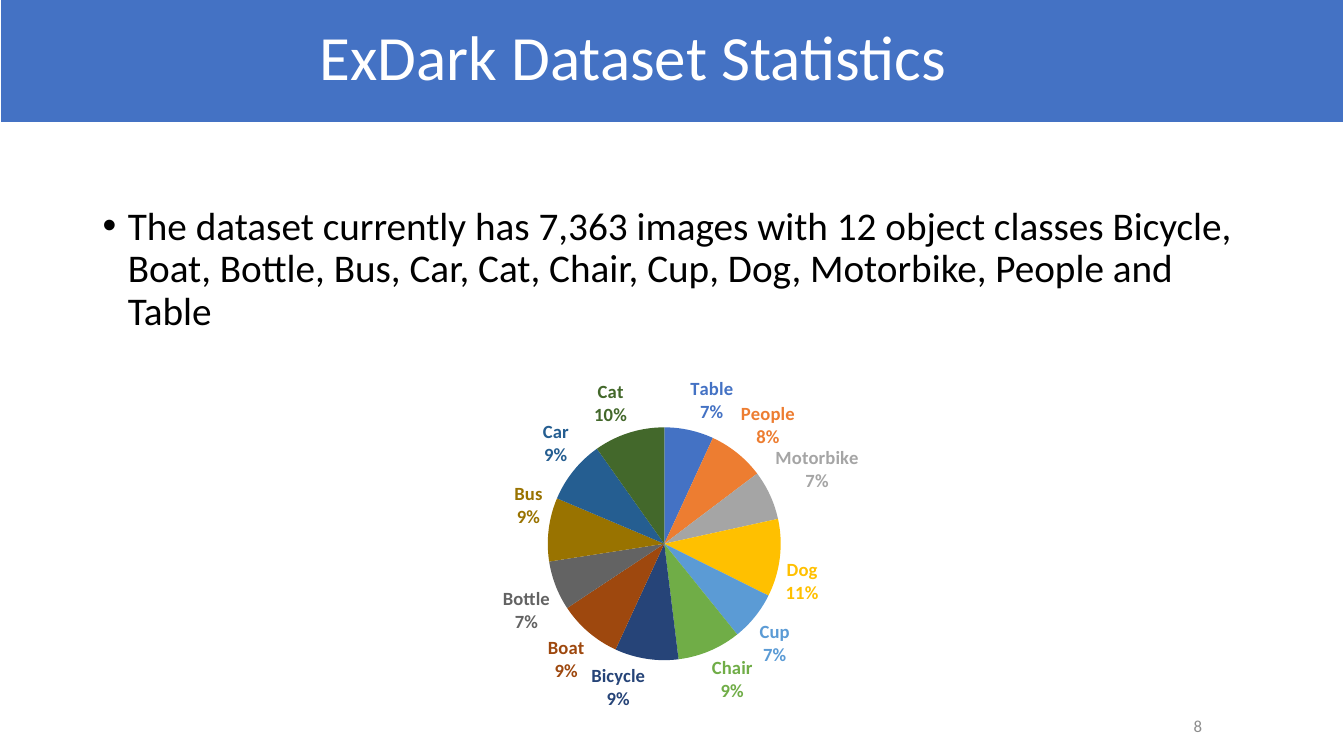
from lxml import etree
from pptx import Presentation
from pptx.chart.data import CategoryChartData
from pptx.dml.color import RGBColor
from pptx.enum import chart as ch, shapes, text
from pptx.oxml import parse_xml
from pptx.oxml.ns import nsdecls, qn
from pptx.util import Inches, Pt

FONT = "Calibri"
CLASSES = [
    ("Table", 7, "4472C4"), ("People", 8, "ED7D31"), ("Motorbike", 7, "A5A5A5"),
    ("Dog", 11, "FFC000"), ("Cup", 7, "5B9BD5"), ("Chair", 9, "70AD47"),
    ("Bicycle", 9, "264478"), ("Boat", 9, "9E480E"), ("Bottle", 7, "636363"),
    ("Bus", 9, "997300"), ("Car", 9, "255E91"), ("Cat", 10, "43682B"),
]


def rgb(color):
    return RGBColor.from_string(color)


def style_font(font, size, color, bold=False):
    font.name, font.size, font.bold = FONT, Pt(size), bold
    font.color.rgb = rgb(color)


def write(paragraph, words, size, color):
    run = paragraph.add_run()
    run.text = words
    style_font(run.font, size, color)


def add_title_band(slide, words):
    band = slide.shapes.add_shape(shapes.MSO_SHAPE.RECTANGLE, Inches(0), Inches(-0.03),
                                  Inches(13.33), Inches(1.25))
    band.shadow.inherit = False
    band.fill.solid()
    band.fill.fore_color.rgb = rgb("4472C4")
    band.line.color.rgb = rgb("FFFFFF")
    band.line.width = Pt(1.5)
    frame = band.text_frame
    frame.margin_left = Inches(3.17)
    frame.vertical_anchor = text.MSO_ANCHOR.MIDDLE
    title = frame.paragraphs[0]
    title.alignment = text.PP_ALIGN.LEFT
    title.line_spacing = 0.9
    write(title, words, 45, "FFFFFF")


def add_text_box(slide, left, top, width, height):
    box = slide.shapes.add_textbox(Inches(left), Inches(top), Inches(width), Inches(height))
    box.text_frame.word_wrap = True
    return box.text_frame


def add_bullet_text(slide, words):
    item = add_text_box(slide, 0.92, 2, 11.5, 1.4).paragraphs[0]
    item.line_spacing = 0.9
    properties = item._p.get_or_add_pPr()
    properties.set("marL", str(Inches(0.25)))
    properties.set("indent", str(Inches(-0.25)))
    etree.SubElement(properties, qn("a:buFont")).set("typeface", "Arial")
    etree.SubElement(properties, qn("a:buChar")).set("char", "•")
    write(item, words, 28, "000000")


def add_page_number(slide, number):
    frame = add_text_box(slide, 9.4, 7, 2.62, 0.4)
    frame.vertical_anchor = text.MSO_ANCHOR.MIDDLE
    frame.paragraphs[0].alignment = text.PP_ALIGN.RIGHT
    write(frame.paragraphs[0], number, 12, "8C8C8C")


def show_category_and_percent(chart):
    """Make every slice label a class name above its share."""
    labels = chart.element.xpath(".//c:ser/c:dLbls | .//c:ser/c:dLbls/c:dLbl")
    for label in labels:
        for tag, shown in (("c:showVal", "0"), ("c:showCatName", "1"), ("c:showPercent", "1")):
            label.find(qn(tag)).set("val", shown)
        separator = parse_xml(f"<c:separator {nsdecls('c')}>\n</c:separator>")
        label.find(qn("c:showBubbleSize")).addnext(separator)


def place_plot(chart, **fractions):
    """Fix the inner plot area as fractions of the chart frame."""
    settings = {"layoutTarget": "inner", "xMode": "edge", "yMode": "edge", **fractions}
    entries = "".join(f'<c:{name} val="{value}"/>' for name, value in settings.items())
    layout = parse_xml(f"<c:layout {nsdecls('c')}><c:manualLayout>{entries}"
                       "</c:manualLayout></c:layout>")
    plot_area = chart.element.xpath(".//c:plotArea")[0]
    for old_layout in plot_area.findall(qn("c:layout")):
        plot_area.remove(old_layout)
    plot_area.insert(0, layout)


def add_class_pie(slide):
    data = CategoryChartData()
    data.categories = [name for name, _, _ in CLASSES]
    data.add_series("Series 1", [share for _, share, _ in CLASSES])
    chart = slide.shapes.add_chart(ch.XL_CHART_TYPE.PIE, Inches(3.62), Inches(3.59),
                                   Inches(6.25), Inches(3.61), data).chart
    chart.has_legend = False
    chart.has_title = False
    style_font(chart.font, 10, "000000")
    chart.plots[0].vary_by_categories = True
    series = chart.plots[0].series[0]
    for index, (_, _, color) in enumerate(CLASSES):
        point = series.points[index]
        point.format.fill.solid()
        point.format.fill.fore_color.rgb = rgb(color)
        point.format.line.fill.background()
        style_font(point.data_label.font, 13.3, color, bold=True)
        point.data_label.position = ch.XL_LABEL_POSITION.OUTSIDE_END
    series.data_labels.number_format = "0%"
    series.data_labels.number_format_is_linked = False
    series.data_labels.position = ch.XL_LABEL_POSITION.OUTSIDE_END
    show_category_and_percent(chart)
    place_plot(chart, x=0.29, y=0.18, w=0.37, h=0.64)


def main():
    deck = Presentation()
    deck.slide_width, deck.slide_height = Inches(13.33), Inches(7.5)
    slide = deck.slides.add_slide(deck.slide_layouts[6])
    add_bullet_text(slide, "The dataset currently has 7,363 images with 12 object classes "
                           "Bicycle, Boat, Bottle, Bus, Car, Cat, Chair, Cup, Dog, "
                           "Motorbike, People and Table")
    add_page_number(slide, "8")
    add_title_band(slide, "ExDark Dataset Statistics")
    add_class_pie(slide)
    deck.save("out.pptx")


if __name__ == "__main__":
    main()
